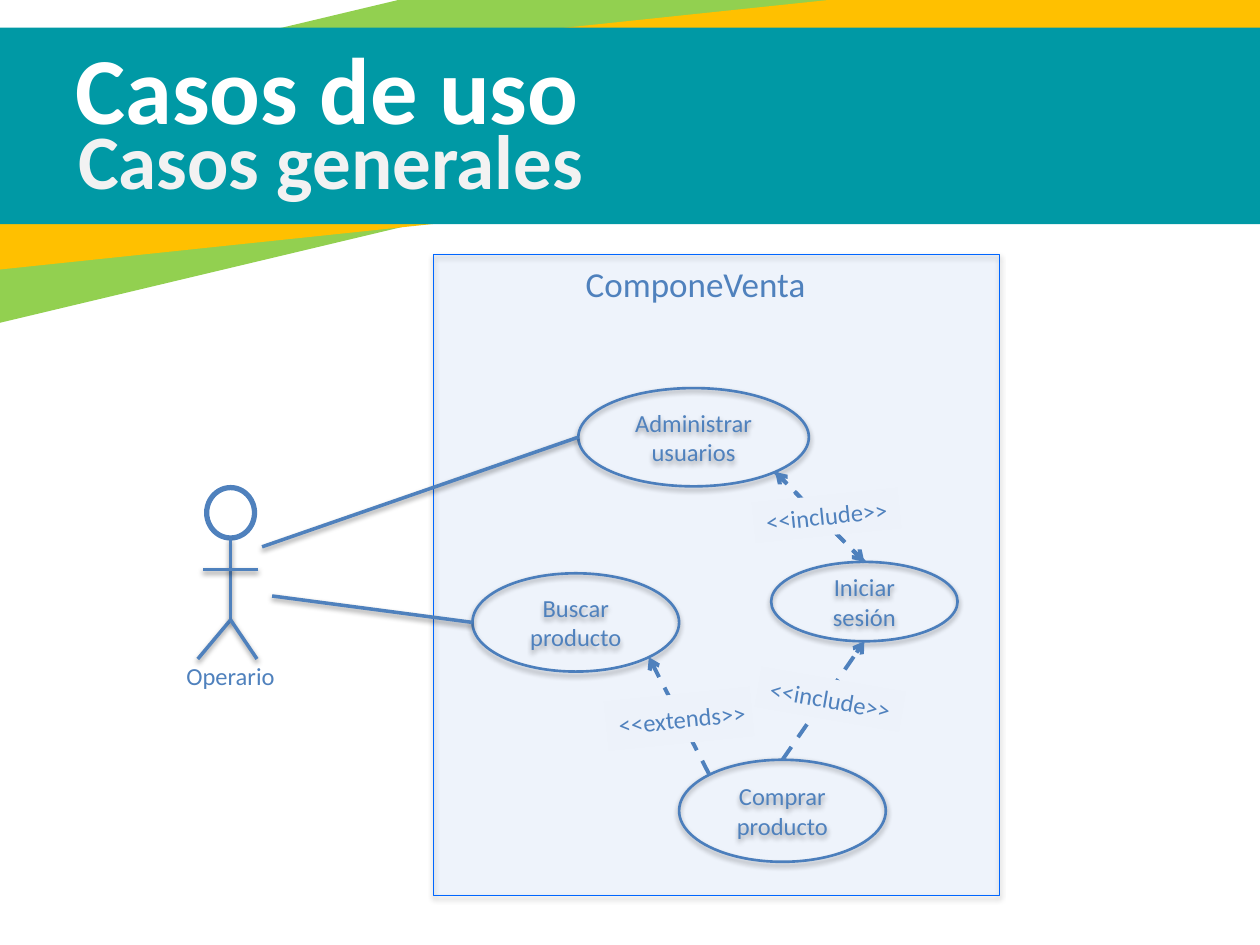
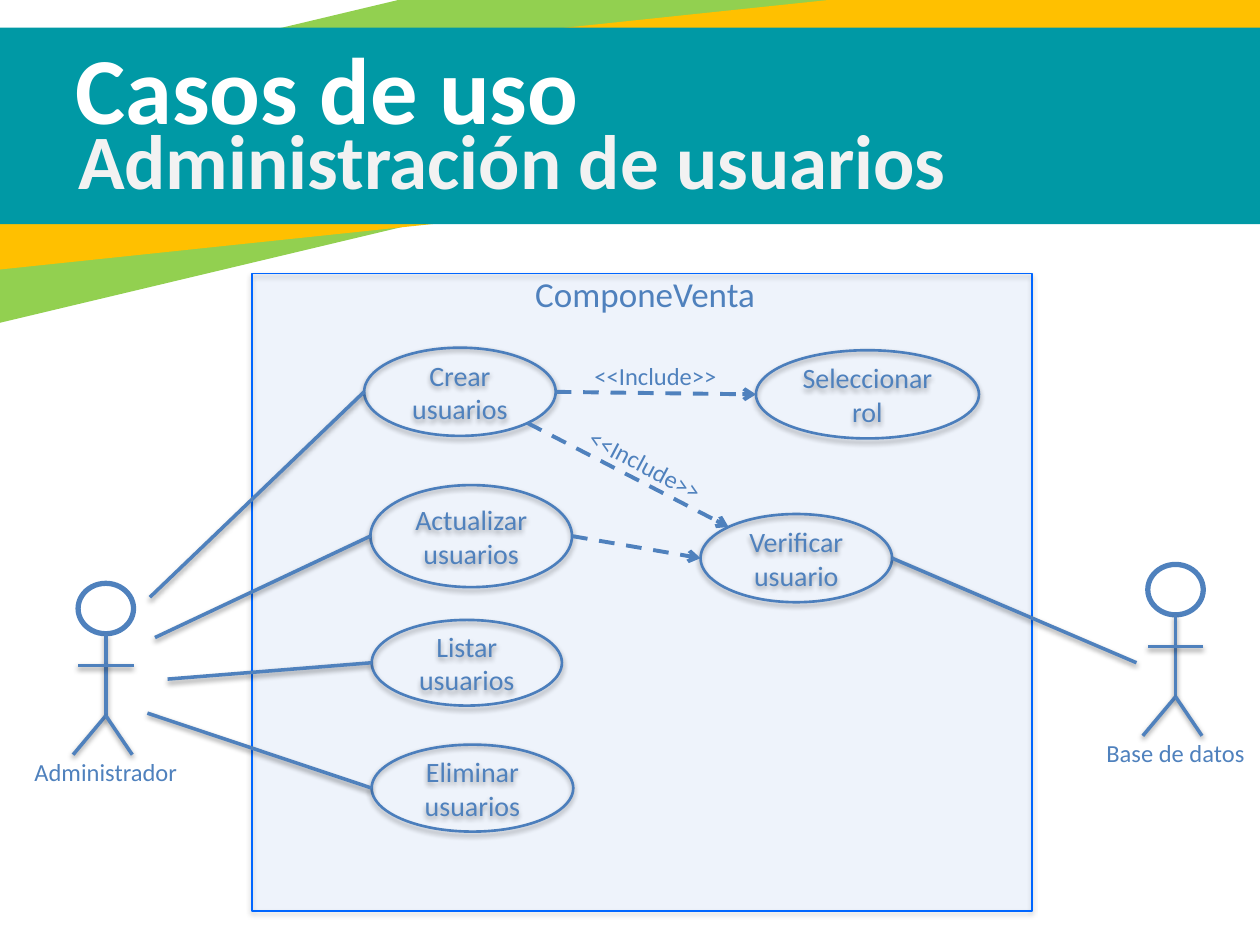
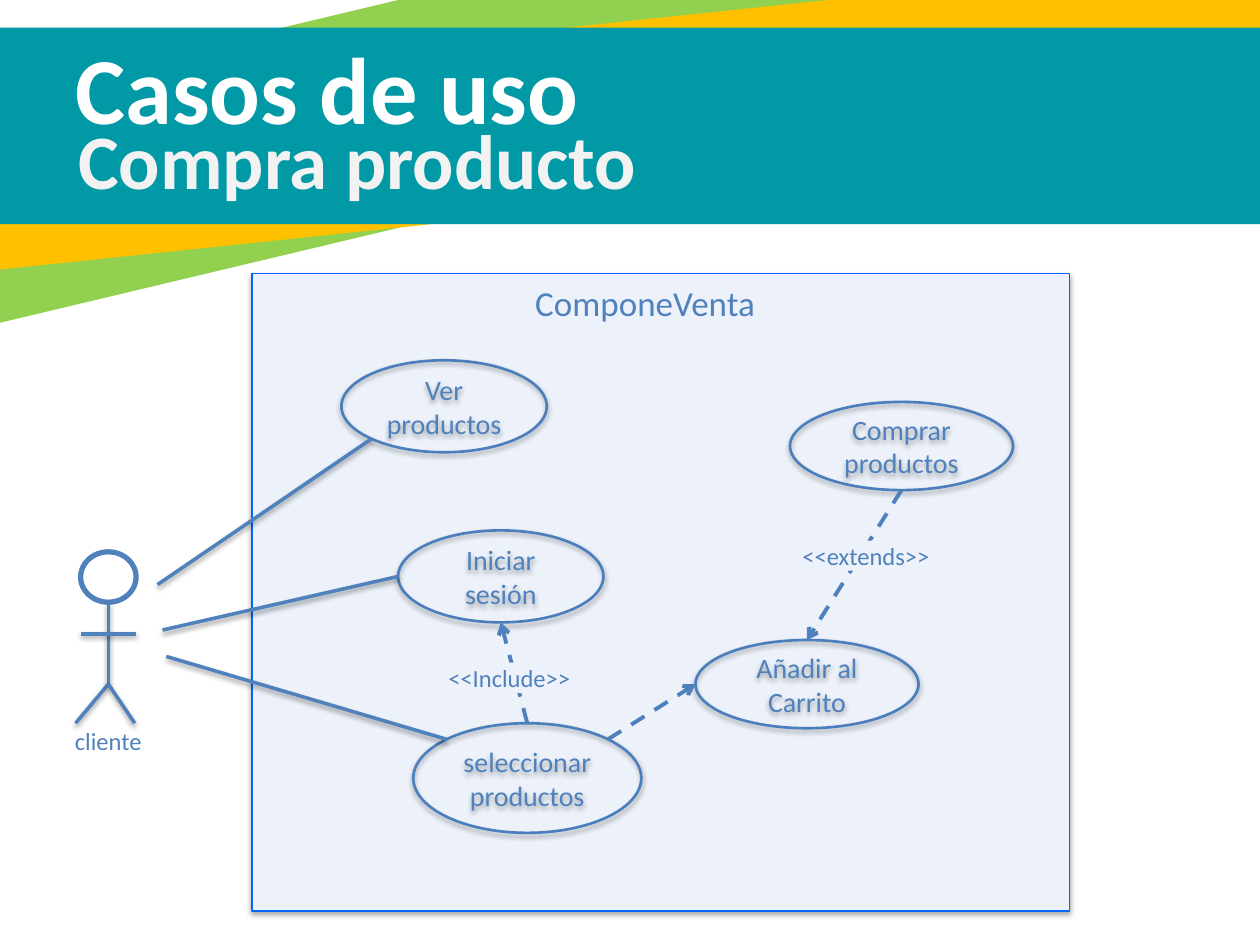
"""Builds three use-case diagram slides with a shared banded header."""
import math

from lxml import etree
from pptx import Presentation
from pptx import util as u
from pptx.dml.color import RGBColor
from pptx.enum import dml, shapes, text
from pptx.oxml.ns import qn

COLORS = {
    "green": "92D050", "amber": "FFC000", "teal": "0099A5",
    "title": "FFFFFF", "subtitle": "F2F2F2", "white": "FFFFFF",
    "ink": "4F81BD", "outline": "4B7EBC",
    "frame": "0066FF", "pale": "EDF2FA", "shadow": "000000",
}
FONT = "Calibri"
SYSTEM = "ComponeVenta"
TOP, TOP_LEFT, LEFT, BOTTOM_LEFT, BOTTOM, BOTTOM_RIGHT, RIGHT, TOP_RIGHT = range(8)

DIAGRAMS = [
    {
        "subtitle": "Casos generales",
        "frame": (3.44, 2.02, 4.49, 5.09), "tinted": True,
        "system": (4.18, 1.9), "size": 14,
        "cases": {
            "Administrar usuarios": (4.59, 3.08, 1.83, 0.78),
            "Buscar producto": (3.75, 4.55, 1.64, 0.78),
            "Comprar producto": (5.39, 6.03, 1.64, 0.81),
            "Iniciar sesión": (6.12, 4.46, 1.48, 0.63),
        },
        "associations": [
            ((2.08, 4.34), "Administrar usuarios", LEFT),
            ((2.16, 4.73), "Buscar producto", LEFT),
        ],
        "dependencies": [
            ("Comprar producto", TOP_LEFT, "Buscar producto", BOTTOM_RIGHT),
            ("Administrar usuarios", BOTTOM_RIGHT, "Iniciar sesión", TOP),
            ("Comprar producto", TOP, "Iniciar sesión", BOTTOM),
            ("Iniciar sesión", TOP, "Administrar usuarios", BOTTOM_RIGHT),
        ],
        "stereotypes": [
            ("<<extends>>", (4.81, 5.51, 1.16, 0.39), 354.2, True),
            ("<<include>>", (5.98, 3.93, 1.16, 0.32), 354.2, True),
            ("<<include>>", (6.01, 5.39, 1.16, 0.32), 9.9, True),
        ],
        "actors": [("Operario", 1.83, 3.87, 0.38)],
    },
    {
        "subtitle": "Administración de usuarios",
        "frame": (2, 2.17, 6.19, 5.06), "tinted": True,
        "system": (3.78, 1.98), "size": 16,
        "cases": {
            "Crear usuarios": (2.89, 2.76, 1.52, 0.7),
            "Actualizar usuarios": (2.94, 3.85, 1.6, 0.81),
            "Listar usuarios": (2.95, 4.92, 1.51, 0.68),
            "Eliminar usuarios": (2.95, 5.91, 1.6, 0.69),
            "Seleccionar rol": (6, 2.78, 1.77, 0.7),
            "Verificar usuario": (5.56, 4.08, 1.52, 0.7),
        },
        "associations": [
            ((1.19, 4.74), "Crear usuarios", LEFT),
            ((1.23, 5.06), "Actualizar usuarios", LEFT),
            ((1.33, 5.39), "Listar usuarios", LEFT),
            ((1.17, 5.66), "Eliminar usuarios", LEFT),
            ((9.02, 5.26), "Verificar usuario", RIGHT),
        ],
        "dependencies": [
            ("Crear usuarios", RIGHT, "Seleccionar rol", LEFT),
            ("Crear usuarios", BOTTOM_RIGHT, "Verificar usuario", TOP_LEFT),
            ("Actualizar usuarios", RIGHT, "Verificar usuario", LEFT),
        ],
        "stereotypes": [
            ("<<Include>>", (4.62, 2.79, 1.16, 0.39), 0, False),
            ("<<Include>>", (4.54, 3.49, 1.16, 0.39), 27.8, False),
        ],
        "actors": [("Administrador", 0.84, 4.63, 0.44),
                   ("Base de datos", 9.33, 4.48, 0.44)],
    },
    {
        "subtitle": "Compra producto",
        "frame": (2, 2.17, 6.49, 5.06), "tinted": False,
        "system": (3.78, 2.05), "size": 16,
        "cases": {
            "Iniciar sesión": (3.16, 4.21, 1.63, 0.73),
            "seleccionar productos": (3.28, 5.74, 1.81, 0.87),
            "Añadir al\nCarrito": (5.52, 5.08, 1.77, 0.7),
            "Ver productos": (2.71, 2.86, 1.63, 0.73),
            "Comprar productos": (6.27, 3.19, 1.77, 0.7),
        },
        "associations": [
            ((1.29, 5), "Iniciar sesión", LEFT),
            ((1.32, 5.21), "seleccionar productos", TOP_LEFT),
            ((1.25, 4.64), "Ver productos", BOTTOM_LEFT),
        ],
        "dependencies": [
            ("seleccionar productos", TOP, "Iniciar sesión", BOTTOM),
            ("seleccionar productos", TOP_RIGHT, "Añadir al\nCarrito", LEFT),
            ("Comprar productos", BOTTOM, "Añadir al\nCarrito", TOP),
        ],
        "stereotypes": [
            ("<<Include>>", (3.46, 5.26, 1.14, 0.24), 0, True),
            ("<<extends>>", (6.27, 4.29, 1.14, 0.24), 0, True),
        ],
        "actors": [("cliente", 0.86, 4.38, 0.44)],
    },
]


def finish(part, fill=None, line=None, width=1.0, shadow=0):
    """Set fill, line and shadow (opacity in percent) of a shape or connector."""
    if fill:
        part.fill.solid()
        part.fill.fore_color.rgb = RGBColor.from_string(COLORS[fill])
    elif hasattr(part, "fill"):
        part.fill.background()
    if line:
        part.line.color.rgb = RGBColor.from_string(COLORS[line])
        part.line.width = u.Pt(width)
    else:
        part.line.fill.background()
    effects = etree.SubElement(part._element.spPr, qn("a:effectLst"))
    if shadow:
        outer = etree.SubElement(effects, qn("a:outerShdw"), blurRad=str(u.Pt(3.1)),
                                 dist=str(u.Pt(1.7)), dir="5400000", rotWithShape="0")
        tone = etree.SubElement(outer, qn("a:srgbClr"), val=COLORS["shadow"])
        etree.SubElement(tone, qn("a:alpha"), val=str(shadow * 1000))


def write(part, words, size, color="ink", align=text.PP_ALIGN.CENTER, wrap=True, bold=False):
    """Fill a shape with text in the deck's font."""
    frame = part.text_frame
    frame.text = words
    frame.word_wrap = wrap
    frame.vertical_anchor = text.MSO_ANCHOR.MIDDLE
    for paragraph in frame.paragraphs:
        paragraph.alignment = align
        paragraph.space_before = u.Pt(0)
        for run in paragraph.runs:
            run.font.name = FONT
            run.font.size = u.Pt(size)
            run.font.bold = bold
            run.font.color.rgb = RGBColor.from_string(COLORS[color])


prs = Presentation()
prs.slide_width, prs.slide_height = u.Inches(10), u.Inches(7.5)
layout = prs.slide_layouts[0]
for holder, at in zip(layout.placeholders, [(0.5, 0.18, 6.2, 1.02), (0.52, 0.62, 8.08, 1.28)]):
    holder.left, holder.top, holder.width, holder.height = map(u.Inches, at)
slides = [prs.slides.add_slide(layout) for _ in DIAGRAMS]

bands = [("green", (-2.51, -0.18, 13.06, 1.76), 346.6),
         ("amber", (-1.1, 0.2, 11.63, 1.44), 354),
         ("teal", (-1.06, 0.22, 11.63, 1.56), 0)]
for depth, (color, at, turn) in enumerate(bands, start=2):
    band = slides[0].shapes.add_shape(shapes.MSO_SHAPE.RECTANGLE, *map(u.Inches, at))
    band.rotation = turn
    finish(band, fill=color)
    layout.shapes._spTree.insert(depth, band._element)

for slide, diagram in zip(slides, DIAGRAMS):
    title, subtitle = slide.placeholders
    write(title, "Casos de uso", 54, "title", text.PP_ALIGN.LEFT, bold=True)
    write(subtitle, diagram["subtitle"], 44, "subtitle", text.PP_ALIGN.LEFT, bold=True)

    boundary = slide.shapes.add_shape(shapes.MSO_SHAPE.RECTANGLE,
                                      *map(u.Inches, diagram["frame"]))
    finish(boundary, "frame" if diagram["tinted"] else "pale", "frame", 0.75, 35)
    if diagram["tinted"]:
        tint = boundary._element.spPr.find(qn("a:solidFill"))[0]
        etree.SubElement(tint, qn("a:alpha"), val="5000")
    system = slide.shapes.add_textbox(*map(u.Inches, (*diagram["system"], 2.68, 0.7)))
    write(system, SYSTEM, 20, wrap=False)

    sites = {}
    for words, (x, y, w, h) in diagram["cases"].items():
        case = slide.shapes.add_shape(shapes.MSO_SHAPE.OVAL, *map(u.Inches, (x, y, w, h)))
        finish(case, None, "outline", 1.5, 35)
        write(case, words, diagram["size"])
        for site in range(8):
            angle = math.radians(45 * site)
            sites[words, site] = (x + w / 2 * (1 - math.sin(angle)),
                                  y + h / 2 * (1 - math.cos(angle)))

    for start, case, site in diagram["associations"]:
        association = slide.shapes.add_connector(
            shapes.MSO_CONNECTOR.STRAIGHT, *map(u.Inches, (*start, *sites[case, site])))
        finish(association, None, "ink", 2, 38)

    for source, source_site, target, target_site in diagram["dependencies"]:
        ends = (*sites[source, source_site], *sites[target, target_site])
        dependency = slide.shapes.add_connector(shapes.MSO_CONNECTOR.STRAIGHT,
                                                *map(u.Inches, ends))
        finish(dependency, None, "ink", 2.25)
        dependency.line.dash_style = dml.MSO_LINE.DASH
        etree.SubElement(dependency.line._get_or_add_ln(), qn("a:tailEnd"), type="arrow")

    for words, at, turn, masked in diagram["stereotypes"]:
        stereotype = slide.shapes.add_textbox(*map(u.Inches, at))
        stereotype.rotation = turn
        stereotype.text_frame.margin_right = 0
        finish(stereotype, "pale" if masked else None)
        write(stereotype, words, 14, align=text.PP_ALIGN.LEFT, wrap=False)

    for role, x, y, head_width in diagram["actors"]:
        actor = slide.shapes.add_group_shape()
        head = actor.shapes.add_shape(
            shapes.MSO_SHAPE.OVAL, *map(u.Inches, (x - head_width / 2, y, head_width, 0.4)))
        finish(head, "white", "ink", 3)
        limbs = [(0, 0.4, 0, 1.05), (0, 1.05, -0.26, 1.36),
                 (0, 1.05, 0.21, 1.36), (0.22, 0.65, -0.22, 0.65)]
        for x1, y1, x2, y2 in limbs:
            limb = actor.shapes.add_connector(
                shapes.MSO_CONNECTOR.STRAIGHT, *map(u.Inches, (x + x1, y + y1, x + x2, y + y2)))
            finish(limb, None, "ink", 2, 38)
        caption = actor.shapes.add_textbox(*map(u.Inches, (x - 0.6, y + 1.34, 1.2, 0.31)))
        caption.text_frame.margin_left = caption.text_frame.margin_right = 0
        write(caption, role, 14, wrap=False)

prs.save("out.pptx")
